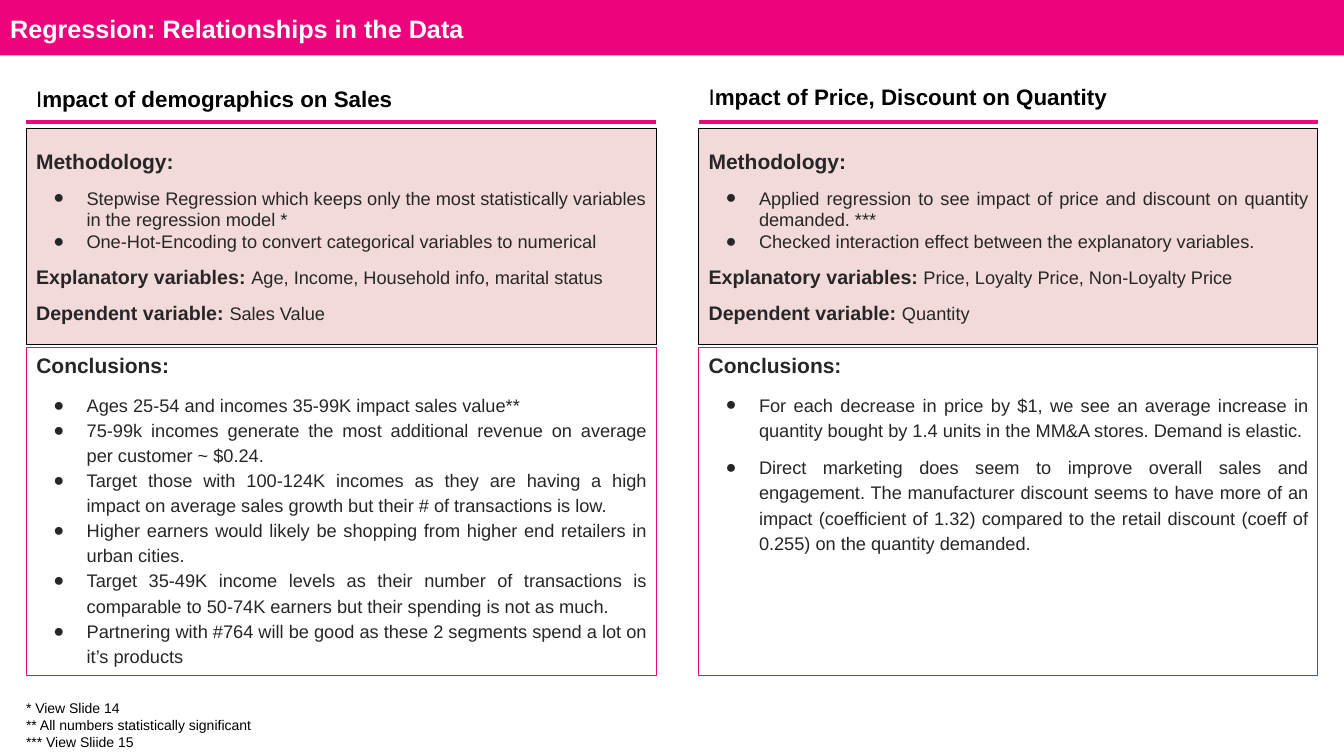
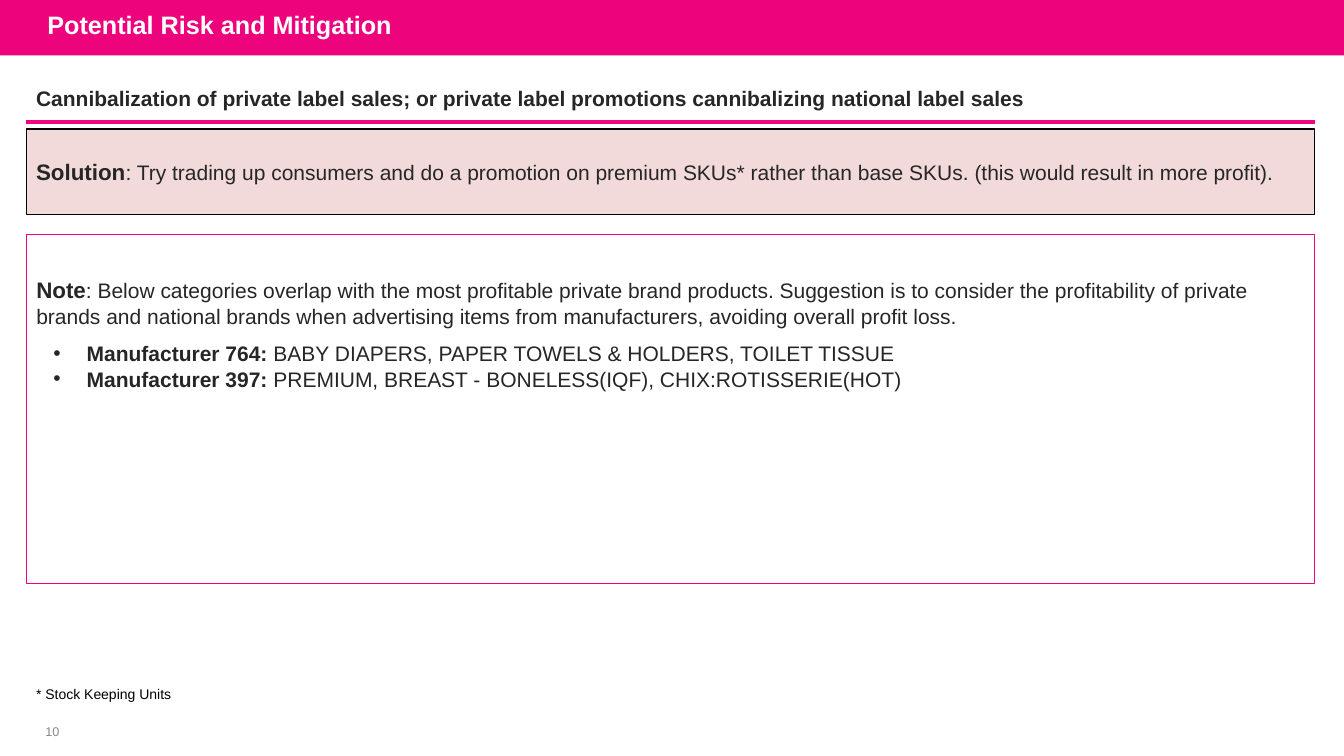
from dataclasses import dataclass

from lxml import etree
from pptx import Presentation
from pptx.dml.color import RGBColor
from pptx.enum import shapes, text
from pptx.oxml import ns
from pptx.util import Inches, Pt

# Shared look
FONT = "Arial"
BAND_PINK = RGBColor(0xED, 0x03, 0x7C)
RULE_PINK = RGBColor(0xEE, 0x04, 0x7C)
BLUSH = RGBColor(0xF2, 0xDA, 0xDA)
INK = RGBColor(0x26, 0x26, 0x26)
BLACK = RGBColor(0, 0, 0)
GREY = RGBColor(0x88, 0x88, 0x88)
WHITE = RGBColor(0xFF, 0xFF, 0xFF)
LEFT, CENTER, JUSTIFY = (text.PP_ALIGN.LEFT, text.PP_ALIGN.CENTER,
                         text.PP_ALIGN.JUSTIFY)
TOP, MIDDLE = text.MSO_ANCHOR.TOP, text.MSO_ANCHOR.MIDDLE
SLIDE_W, SLIDE_H, BAND_H = 13.33, 7.5, 0.55
MARGIN, RULE_Y, METHOD_Y = 0.26, 1.21, 1.28


@dataclass
class Para:
    runs: list  # (words, size, bold)
    before: float = 0
    align: int = LEFT
    bullet: str = ""
    spacing: float = 1.0
    color: RGBColor = INK


def heading(words):
    return Para([(words, 15, True)], 9)


def variables(label, names):
    return Para([(label, 14, True), (names, 13, False)], 9)


def bullets(items, align=JUSTIFY, spacing=1.0, gap=0):
    return [Para([(item, 13, False)], gap if i else 9, align, "●", spacing)
            for i, item in enumerate(items)]


def footnotes(*lines):
    return [Para([(line, 10, False)], color=BLACK) for line in lines]


# Content
COLUMNS = [
    {"left": MARGIN, "width": 6.25, "head_top": 0.8,
     "head": "mpact of demographics on Sales",
     "method": [
         heading("Methodology:"),
         *bullets(["Stepwise Regression which keeps only the most statistically "
                   "variables in the regression model *",
                   "One-Hot-Encoding to convert categorical variables to numerical"],
                  LEFT),
         variables("Explanatory variables: ",
                   "Age, Income, Household info, marital status"),
         variables("Dependent variable: ", "Sales Value")],
     "conclusions": [
         heading("Conclusions:"),
         *bullets(["Ages 25-54 and incomes 35-99K impact sales value**",
                   "75-99k incomes generate the most additional revenue on "
                   "average per customer ~ $0.24.",
                   "Target those with 100-124K incomes as they are having a high "
                   "impact on average sales growth but their # of transactions "
                   "is low.",
                   "Higher earners would likely be shopping from higher end "
                   "retailers in urban cities.",
                   "Target 35-49K income levels as their number of transactions "
                   "is comparable to 50-74K earners but their spending is not "
                   "as much.",
                   "Partnering with #764 will be good as these 2 segments spend "
                   "a lot on it’s products"], spacing=1.15)]},
    {"left": 6.93, "width": 6.14, "head_top": 0.78,
     "head": "mpact of Price, Discount on Quantity",
     "method": [
         heading("Methodology:"),
         *bullets(["Applied regression to see impact of price and discount on "
                   "quantity demanded. ***",
                   "Checked interaction effect between the explanatory variables."]),
         variables("Explanatory variables:",
                   " Price, Loyalty Price, Non-Loyalty Price"),
         variables("Dependent variable: ", "Quantity")],
     "conclusions": [
         heading("Conclusions:"),
         *bullets(["For each decrease in price by $1, we see an average increase "
                   "in quantity bought by 1.4 units in the MM&A stores. Demand "
                   "is elastic.",
                   "Direct marketing does seem to improve overall sales and "
                   "engagement. The manufacturer discount seems to have more of "
                   "an impact (coefficient of 1.32) compared to the retail "
                   "discount (coeff of 0.255) on the quantity demanded."],
                  spacing=1.15, gap=9)]},
]
REGRESSION_NOTES = footnotes("* View Slide 14",
                             "** All numbers statistically significant",
                             "*** View Sliide 15")

RISK = heading("Cannibalization of private label sales; or private label "
               "promotions cannibalizing national label sales")
SOLUTION = Para([("Solution", 16, True),
                 (": Try trading up consumers and do a promotion on premium SKUs* "
                  "rather than base SKUs. (this would result in more profit).",
                  15, False)])
OVERLAP = Para([("Note", 16, True),
                (": Below categories overlap with the most profitable private brand "
                 "products. Suggestion is to consider the profitability of private "
                 "brands and national brands when advertising items from "
                 "manufacturers, avoiding overall profit loss.", 15, False)])
MANUFACTURERS = [
    ("Manufacturer 764: ", "BABY DIAPERS, PAPER TOWELS & HOLDERS, TOILET TISSUE"),
    ("Manufacturer 397: ", "PREMIUM, BREAST - BONELESS(IQF), CHIX:ROTISSERIE(HOT)"),
]


# Text
def set_bullet(paragraph, char):
    props = paragraph._p.get_or_add_pPr()
    props.set("marL", str(Inches(0.5) if char else 0))
    props.set("indent", str(Inches(-0.33) if char else 0))
    if not char:
        etree.SubElement(props, ns.qn("a:buNone"))
        return
    color = etree.SubElement(props, ns.qn("a:buClr"))
    etree.SubElement(color, ns.qn("a:srgbClr"), val=str(INK))
    etree.SubElement(props, ns.qn("a:buFont"), typeface=FONT)
    etree.SubElement(props, ns.qn("a:buChar"), char=char)


def write(shape, paras, anchor=TOP, inset_top=0.05):
    frame = shape.text_frame
    frame.word_wrap = True
    frame.auto_size = text.MSO_AUTO_SIZE.NONE
    frame.vertical_anchor = anchor
    frame.margin_left = frame.margin_right = Inches(0.1)
    frame.margin_top, frame.margin_bottom = Inches(inset_top), Inches(0.05)
    for i, para in enumerate(paras):
        paragraph = frame.add_paragraph() if i else frame.paragraphs[0]
        paragraph.alignment = para.align
        paragraph.line_spacing = para.spacing
        paragraph.space_before = Pt(para.before)
        set_bullet(paragraph, para.bullet)
        for words, size, bold in para.runs:
            run = paragraph.add_run()
            run.text = words
            run.font.name, run.font.size, run.font.bold = FONT, Pt(size), bold
            run.font.color.rgb = para.color


# Parts
def place(shape, *box):
    shape.left, shape.top, shape.width, shape.height = map(Inches, box)
    return shape


def add_text(slide, box, paras, **layout):
    write(slide.shapes.add_textbox(*map(Inches, box)), paras, **layout)


def add_panel(slide, *box):
    panel = slide.shapes.add_shape(shapes.MSO_SHAPE.RECTANGLE, *map(Inches, box))
    panel.shadow.inherit = False
    return panel


def outline(panel, color, fill=None):
    if fill is None:
        panel.fill.background()
    else:
        panel.fill.solid()
        panel.fill.fore_color.rgb = fill
    panel.line.color.rgb = color
    panel.line.width = Pt(0.75)
    return panel


def add_rule(slide, left, width):
    rule = slide.shapes.add_connector(
        shapes.MSO_CONNECTOR.STRAIGHT, Inches(left), Inches(RULE_Y),
        Inches(left + width), Inches(RULE_Y))
    rule.line.color.rgb = RULE_PINK
    rule.line.width = Pt(2.25)
    etree.SubElement(rule._element.spPr, ns.qn("a:effectLst"))


def add_titled_slide(deck, title, left, top):
    slide = deck.slides.add_slide(deck.slide_layouts[1])
    write(place(slide.shapes.title, left, top, 10.5, BAND_H),
          [Para([(title, 18, True)], color=WHITE)], MIDDLE)
    return slide


def move_band_to_layout(slide):
    band = add_panel(slide, 0, 0, SLIDE_W, BAND_H)
    band.fill.solid()
    band.fill.fore_color.rgb = BAND_PINK
    band.line.fill.background()
    slide.slide_layout.shapes._spTree.insert(2, band._element)


def build_regression(deck):
    slide = add_titled_slide(deck, "Regression: Relationships in the Data", 0, 0.01)
    move_band_to_layout(slide)
    for i, column in enumerate(COLUMNS):
        left, width = column["left"], column["width"]
        add_text(slide, (left, column["head_top"], 6.14, 0.37),
                 [Para([("I", 16, False), (column["head"], 16, True)], color=BLACK)])
        add_rule(slide, left, width)
        method = add_panel(slide, left, METHOD_Y, width, 2.14)
        write(outline(method, BLACK, BLUSH), column["method"], MIDDLE)
        box = (left, 3.45, width, 3.25)
        conclusions = (add_panel(slide, *box) if i
                       else place(slide.placeholders[1], *box))
        write(outline(conclusions, RULE_PINK), column["conclusions"])
    add_text(slide, (0.16, 6.89, 6.15, 0.58), REGRESSION_NOTES)


def build_risk(deck):
    slide = add_titled_slide(deck, "Potential Risk and Mitigation", 0.37, -0.03)
    width = 12.78
    add_text(slide, (MARGIN, 0.8, 10.5, 0.35), [RISK])
    add_rule(slide, MARGIN, width)
    solution = add_panel(slide, MARGIN, METHOD_Y, width, 0.85)
    write(outline(solution, BLACK, BLUSH), [SOLUTION], MIDDLE)
    overlap = place(slide.placeholders[1], MARGIN, 2.33, width, 3.46)
    makers = [Para([(maker, 15, True), (goods, 15, False)], 0 if i else 9, bullet="•")
              for i, (maker, goods) in enumerate(MANUFACTURERS)]
    write(outline(overlap, BAND_PINK), [OVERLAP, *makers], inset_top=0.41)
    add_text(slide, (MARGIN, 6.7, 3.28, 0.37), footnotes("* Stock Keeping Units"),
             inset_top=0.1)
    add_text(slide, (MARGIN, 7.14, 0.52, 0.24),
             [Para([("10", 9, False)], align=CENTER, color=GREY)], anchor=MIDDLE)


def main():
    deck = Presentation()
    deck.slide_width, deck.slide_height = Inches(SLIDE_W), Inches(SLIDE_H)
    build_regression(deck)
    build_risk(deck)
    deck.save("out.pptx")


if __name__ == "__main__":
    main()
